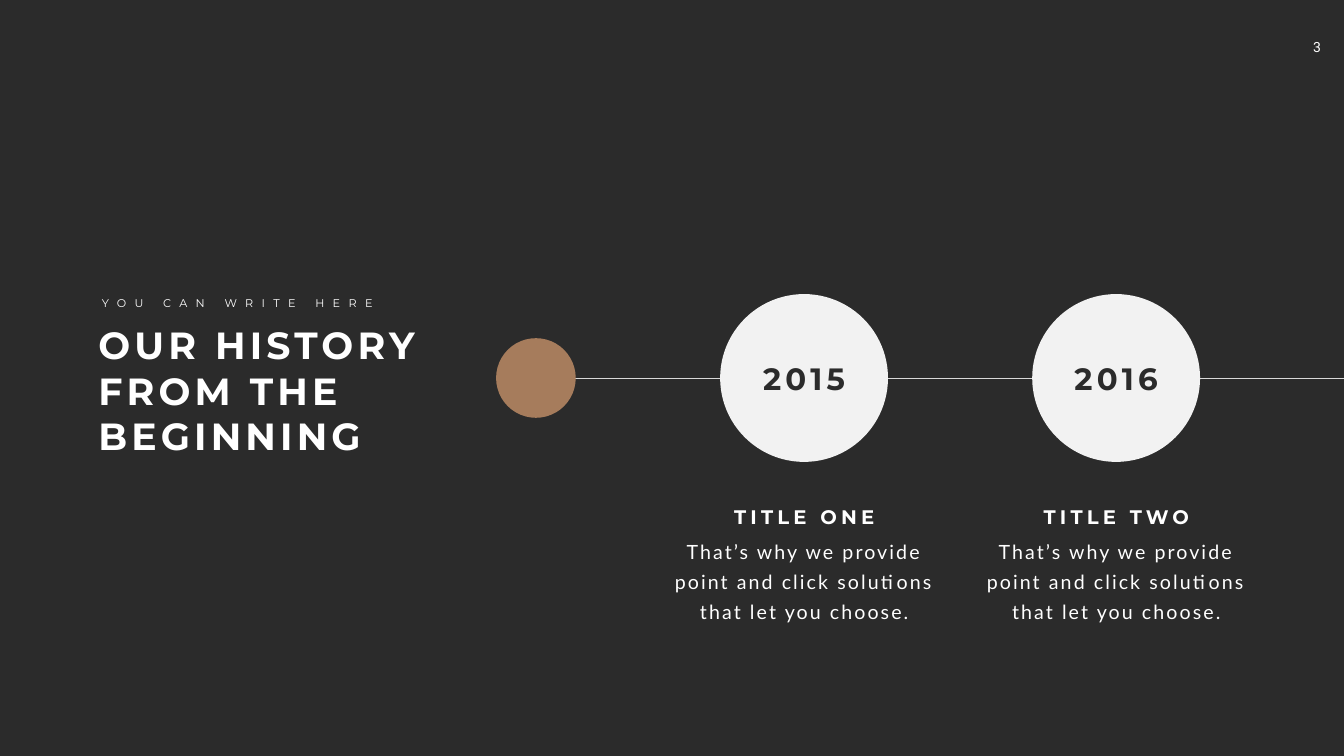
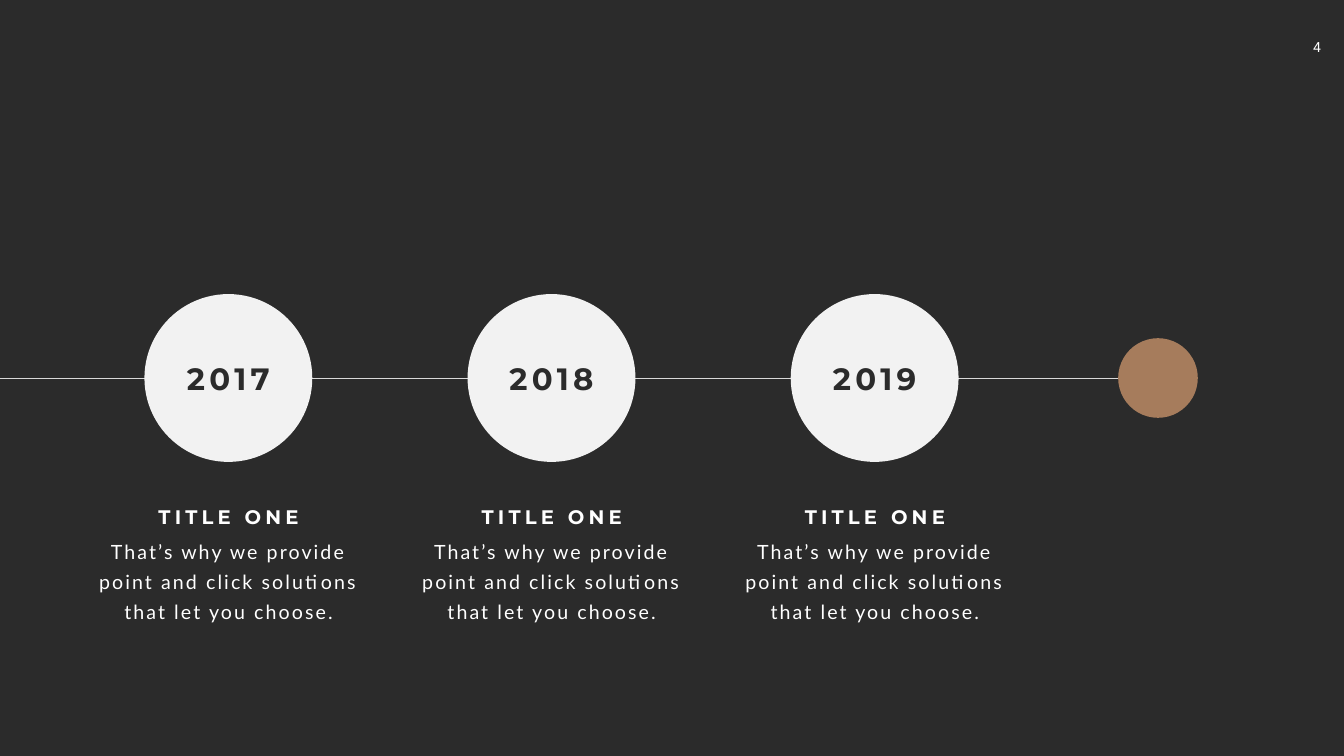
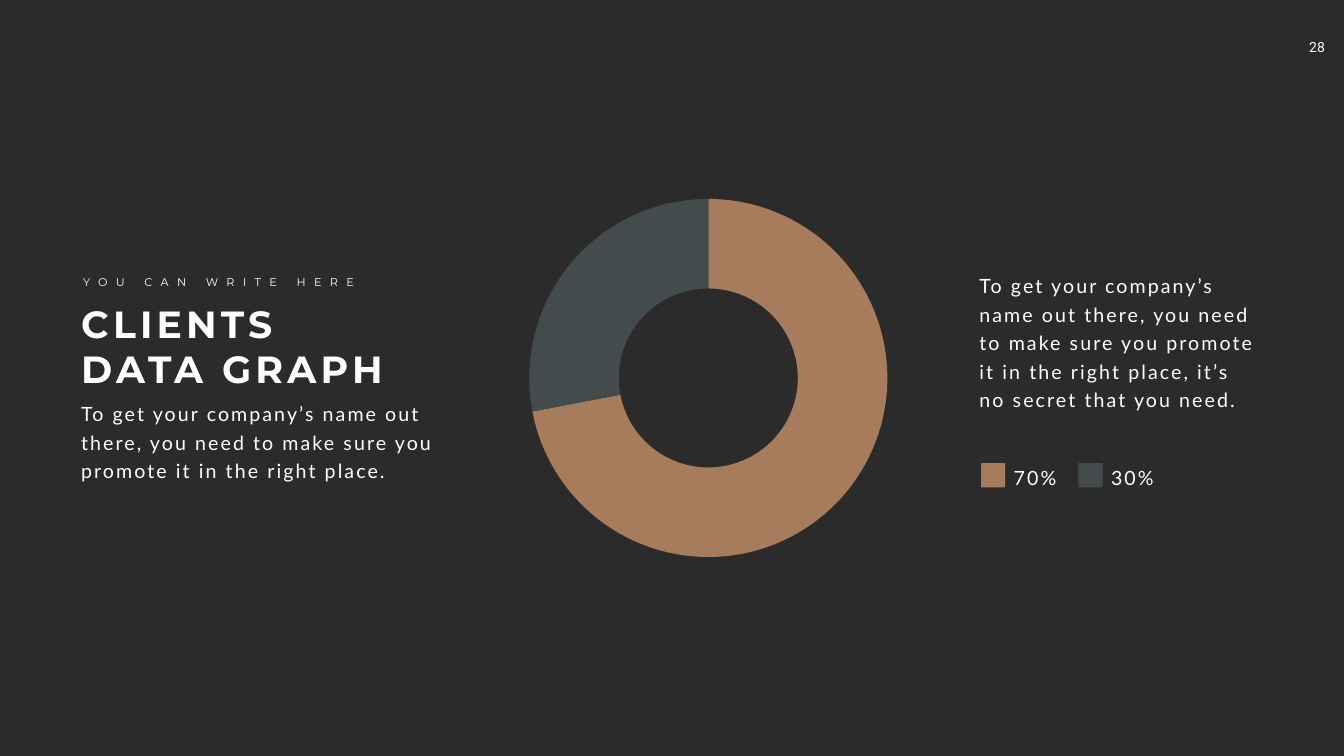
"""Builds two timeline slides and a doughnut chart slide in one dark style."""
from lxml import etree
from pptx import Presentation
from pptx.chart.data import CategoryChartData
from pptx.dml.color import RGBColor
from pptx.enum.chart import XL_CHART_TYPE
from pptx.enum.shapes import MSO_CONNECTOR, MSO_SHAPE
from pptx.enum.text import MSO_ANCHOR, MSO_AUTO_SIZE, PP_ALIGN
from pptx.oxml.ns import qn
from pptx.util import Inches, Pt

LEFT, CENTER = PP_ALIGN.LEFT, PP_ALIGN.CENTER
TOP, GROW = MSO_ANCHOR.TOP, MSO_AUTO_SIZE.SHAPE_TO_FIT_TEXT
OVAL, RECT = MSO_SHAPE.OVAL, MSO_SHAPE.RECTANGLE
STRAIGHT, DOUGHNUT = MSO_CONNECTOR.STRAIGHT, XL_CHART_TYPE.DOUGHNUT
TITLE_ONLY, BLANK = 5, 6

DARK, WHITE, PALE, RULE = "2B2B2B", "FFFFFF", "F2F2F2", "D9D9D9"
BROWN, SLATE = "A67C5C", "444B4D"
HEADING, BODY, NUMBER = "Montserrat", "Lato", "Roboto"

SLIDE_WIDTH, AXIS = 26.66, 7.5
YEAR_SIZE, DOT_SIZE = 3.33, 1.58
KICKER = "YOU CAN WRITE HERE"
MILESTONE = "That’s why we provide point and click solutions that let you choose."
PITCH = ("To get your company’s name out there, you need to make sure you "
         "promote it in the right place")


def color(hex_value):
    return RGBColor.from_string(hex_value)


class Deck:
    def __init__(self):
        self.prs = Presentation()
        self.prs.slide_width, self.prs.slide_height = Inches(SLIDE_WIDTH), Inches(15)
        background = self.prs.slide_master.background.fill
        background.solid()
        background.fore_color.rgb = color(DARK)
        self.slide = None

    def add_slide(self, number, layout=BLANK):
        self.slide = self.prs.slides.add_slide(self.prs.slide_layouts[layout])
        page = self.text(number, 25.69, 0.67, 1.01, 0.54, 20, NUMBER, align=CENTER)
        page.margin_left, page.margin_right = Inches(0.2), Inches(0.34)
        page.margin_top = page.margin_bottom = Inches(0.1)

    def fill_frame(self, frame, text, size, font, ink, bold, tracking, align, leading, wrap):
        frame.text = text
        frame.word_wrap, frame.auto_size, frame.vertical_anchor = wrap, GROW, TOP
        paragraph = frame.paragraphs[0]
        paragraph.alignment = align
        if leading:
            paragraph.line_spacing = Pt(leading)
        for run in paragraph.runs:
            run.font.name, run.font.size, run.font.bold = font, Pt(size), bold
            run.font.color.rgb = color(ink)
            run.font._element.set("spc", str(tracking * 100))
        return frame

    def text(self, text, left, top, width, height, size, font, ink=WHITE, bold=False,
             tracking=0, align=LEFT, leading=None, wrap=True):
        box = self.slide.shapes.add_textbox(
            Inches(left), Inches(top), Inches(width), Inches(height))
        return self.fill_frame(box.text_frame, text, size, font, ink, bold, tracking,
                               align, leading, wrap)

    def body(self, text, left, top, width, height, align=LEFT, leading=40.8):
        self.text(text, left, top, width, height, 28, BODY, tracking=3,
                  align=align, leading=leading)

    def title(self, text, left, top, width, height):
        title = self.slide.shapes.title
        title.left, title.top = Inches(left), Inches(top)
        title.width, title.height = Inches(width), Inches(height)
        self.fill_frame(title.text_frame, text, 54, HEADING, WHITE, True, 6, LEFT, None, True)

    def kicker(self, left, top):
        self.text(KICKER, left, top, 5.78, 0.37, 16, HEADING, tracking=12, wrap=False)

    def shape(self, kind, left, top, size, fill):
        shape = self.slide.shapes.add_shape(
            kind, Inches(left), Inches(top), Inches(size), Inches(size))
        shape.shadow.inherit = False
        shape.fill.solid()
        shape.fill.fore_color.rgb = color(fill)
        shape.line.fill.background()

    def circle(self, center, size, fill):
        self.shape(OVAL, center - size / 2, AXIS - size / 2, size, fill)

    def axis(self, start, end):
        line = self.slide.shapes.add_connector(
            STRAIGHT, Inches(start), Inches(AXIS), Inches(end), Inches(AXIS))
        line.line.color.rgb = color(RULE)
        line.line.width = Pt(0.5)
        etree.SubElement(line._element.spPr, qn("a:effectLst"))

    def milestone(self, center, year, heading):
        self.circle(center, YEAR_SIZE, PALE)
        self.text(year, center - 1.63, 7.08, 3.26, 0.84, 44, HEADING, DARK, True, 6, CENTER)
        self.text(heading, center - 2.2, 9.96, 4.41, 0.57, 28, HEADING, WHITE, True, 6, CENTER)
        self.body(MILESTONE, center - 2.72, 10.53, 5.45, 1.85, CENTER, 43)

    def timeline(self, start, end, dot, first, step, milestones):
        self.axis(start, end)
        self.circle(dot, DOT_SIZE, BROWN)
        for index, (year, heading) in enumerate(milestones):
            self.milestone(first + index * step, year, heading)

    def doughnut(self, left, top, width, height, values, fills):
        data = CategoryChartData()
        data.categories = [str(i + 1) for i in range(len(values))]
        data.add_series("Series 1", values)
        chart = self.slide.shapes.add_chart(
            DOUGHNUT, Inches(left), Inches(top), Inches(width), Inches(height), data).chart
        chart.has_legend = chart.has_title = False
        chart.font.name, chart.font.size = "Calibri", Pt(10)
        chart.font.color.rgb = color(WHITE)
        plot = chart.plots[0]
        plot.vary_by_categories = True
        plot._element.find(qn("c:holeSize")).set("val", "90")
        for index, fill in enumerate(fills):
            point = plot.series[0].points[index].format
            point.fill.solid()
            point.fill.fore_color.rgb = color(fill)
            point.line.fill.background()

    def legend(self, left, top, step, entries):
        for index, (label, fill) in enumerate(entries):
            x = left + index * step
            self.shape(RECT, x, top, 0.48, fill)
            self.body(label, x + 0.55, top - 0.1, 1.18, 0.62)


def main():
    deck = Deck()

    deck.add_slide("3", TITLE_ONLY)
    deck.title("OUR HISTORY FROM THE BEGINNING", 1.85, 6.34, 6.67, 2.83)
    deck.kicker(1.92, 5.83)
    deck.timeline(10.88, SLIDE_WIDTH, 10.63, 15.95, 6.19,
                  [("2015", "TITLE ONE"), ("2016", "TITLE TWO")])

    deck.add_slide("4")
    deck.timeline(0, 22.97, 22.97, 4.53, 6.41,
                  [(year, "TITLE ONE") for year in ("2017", "2018", "2019")])

    deck.add_slide("28", TITLE_ONLY)
    deck.title("CLIENTS DATA GRAPH", 1.51, 5.91, 6.52, 1.92)
    deck.kicker(1.55, 5.41)
    deck.body(PITCH + ".", 1.51, 7.83, 7.54, 1.77)
    deck.doughnut(10.1, 3.81, 7.9, 7.38, (72, 28), (BROWN, SLATE))
    deck.body(PITCH + ", it’s no secret that you need.", 19.33, 5.29, 5.78, 2.92)
    deck.legend(19.46, 9.19, 1.93, [("70%", BROWN), ("30%", SLATE)])

    deck.prs.save("out.pptx")


if __name__ == "__main__":
    main()
